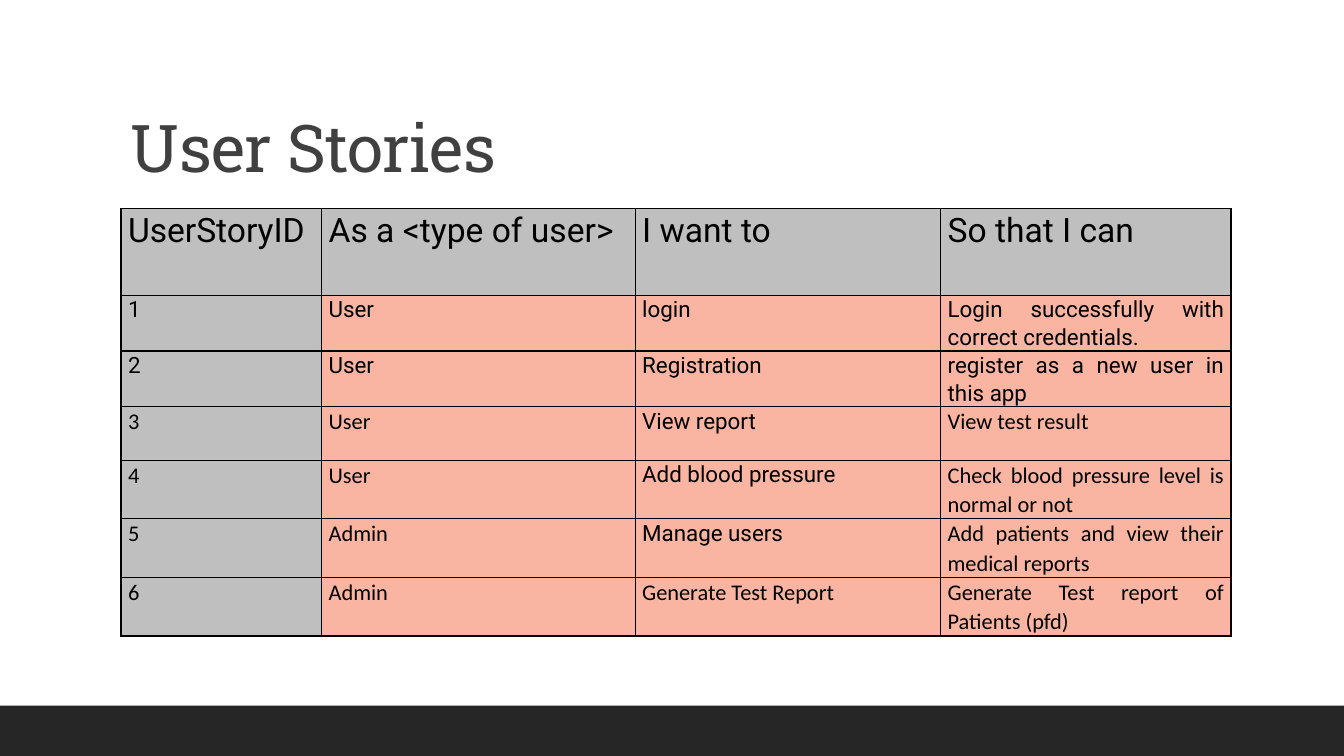
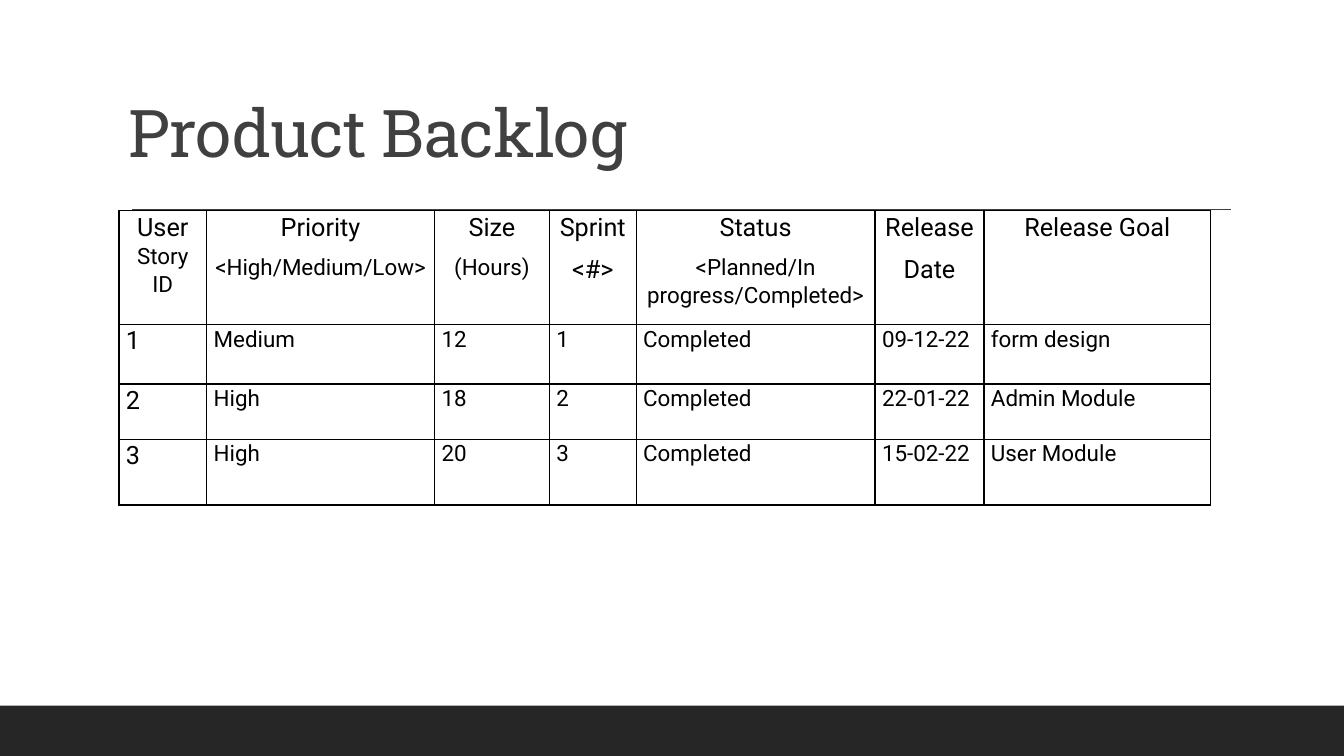
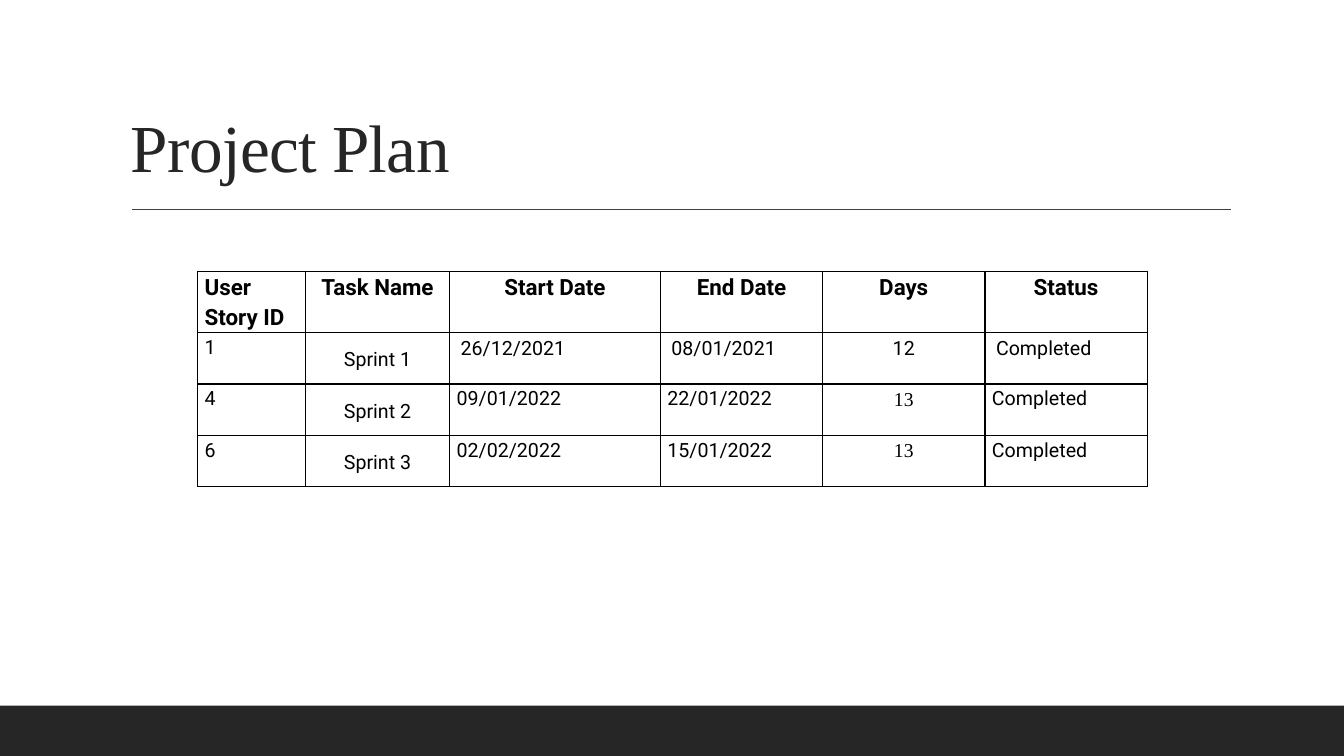
"""Build three project planning slides: user stories, product backlog and project plan."""
from dataclasses import dataclass

import lxml.etree
import pptx
import pptx.dml.color
import pptx.enum.shapes
import pptx.enum.text
import pptx.oxml.ns
import pptx.presentation
import pptx.slide
import pptx.table
import pptx.util

Inches = pptx.util.Inches
Pt = pptx.util.Pt
RGBColor = pptx.dml.color.RGBColor
Align = pptx.enum.text.PP_ALIGN
Anchor = pptx.enum.text.MSO_ANCHOR

BLACK = RGBColor(0x00, 0x00, 0x00)
CHARCOAL = RGBColor(0x26, 0x26, 0x26)
SLATE = RGBColor(0x40, 0x40, 0x40)
SILVER = RGBColor(0xBF, 0xBF, 0xBF)
SALMON = RGBColor(0xF9, 0xB5, 0xA2)

ROBOTO = "Roboto"
SLAB = "Roboto Slab"
CALIBRI = "Calibri"
TIMES = "Times New Roman"


@dataclass(frozen=True)
class Span:
    text: str
    size: float = 16
    font: str = ROBOTO
    bold: bool = False
    color: RGBColor = BLACK


@dataclass(frozen=True)
class Look:
    align: Align = Align.LEFT
    line_spacing: float = 1.07
    space_after: float = 8
    inset: tuple[float, float] = (0.07, 0)
    anchor: Anchor = Anchor.TOP


@dataclass(frozen=True)
class Cell:
    paragraphs: list[list[Span]]
    look: Look
    fill: RGBColor | None = None


@dataclass(frozen=True)
class Grid:
    left: float
    top: float
    columns: list[float]
    rows: list[float]
    cells: list[list[Cell]]


@dataclass(frozen=True)
class Title:
    span: Span
    left: float = 1.2
    top: float = 0.31


JUSTIFIED = Look(Align.JUSTIFY)
BACKLOG_HEAD = Look(Align.CENTER)
BACKLOG_BODY = Look()
PLAN_LEFT = Look(line_spacing=1.15, space_after=0)
PLAN_CENTER = Look(Align.CENTER, 1.15, 0)
PLAN_TASK = Look(Align.CENTER, 1.15, 0, anchor=Anchor.MIDDLE)
PLAN_FIRST = Look(line_spacing=1, space_after=0, inset=(0.11, 0.05))
PLAN_FIRST_DAYS = Look(Align.CENTER, 1, 0, (0.11, 0.05))
PLAN_DAYS = Look(Align.CENTER, 1, 0, (0.1, 0.05))

STORY_HEADINGS = ["UserStoryID", "As a <type of user>", "I want to", "So that I can"]
STORIES = [
    ("User", "login", "Login successfully with correct credentials."),
    ("User", "Registration", "register as a new user in this app"),
    ("User", "View report", "View test result"),
    ("User", "Add blood pressure", "Check blood pressure level is normal or not"),
    ("Admin", "Manage users", "Add patients and view their medical reports"),
    ("Admin", "Generate Test Report", "Generate Test report of Patients (pfd)"),
]
BACKLOG_HEADINGS = [
    [[Span("User ", 18), Span("Story ID")]],
    [[Span("Priority", 18)], [Span("<High/Medium/Low>")]],
    [[Span("Size", 18)], [Span("(Hours)")]],
    [[Span("Sprint", 18)], [Span("<#>", 18)]],
    [[Span("Status", 18)], [Span("<Planned/In progress/Completed>")]],
    [[Span("Release", 18)], [Span("Date", 18)]],
    [[Span("Release Goal", 18)]],
]
BACKLOG = [
    ("1", "Medium", "12", "1", "Completed", "09-12-22", "form design"),
    ("2", "High", "18", "2", "Completed", "22-01-22", "Admin Module"),
    ("3", "High", "20", "3", "Completed", "15-02-22", "User Module"),
]
PLAN_HEADINGS = ["User Story ID", "Task Name", "Start Date", "End Date", "Days", "Status"]
PLAN = [
    ("1", "Sprint 1", "26/12/2021", "08/01/2021", "12", "Completed"),
    ("4", "Sprint 2", "09/01/2022", "22/01/2022", "13", "Completed"),
    ("6", "Sprint 3", "02/02/2022", "15/01/2022", "13", "Completed"),
]


def story_font(number: int, column: int) -> str:
    """Return the font of a user story cell."""
    if number < 3 or (column == 2 and number < 6):
        return ROBOTO
    return CALIBRI


def story_cells() -> list[list[Cell]]:
    """Lay out the user story rows."""
    rows = [[Cell([[Span(text, 24)]], JUSTIFIED, SILVER) for text in STORY_HEADINGS]]
    for number, story in enumerate(STORIES, 1):
        rows.append([
            Cell([[Span(text, font=story_font(number, column))]], JUSTIFIED,
                 SALMON if column else SILVER)
            for column, text in enumerate((str(number), *story))
        ])
    return rows


def backlog_cells() -> list[list[Cell]]:
    """Lay out the product backlog rows."""
    rows = [[Cell(heading, BACKLOG_HEAD) for heading in BACKLOG_HEADINGS]]
    for item in BACKLOG:
        rows.append([
            Cell([[Span(text, 16 if column else 18)]], BACKLOG_BODY)
            for column, text in enumerate(item)
        ])
    return rows


def plan_cells() -> list[list[Cell]]:
    """Lay out the project plan rows."""
    rows = [[
        Cell([[Span(text, bold=True)]], PLAN_CENTER if column else PLAN_LEFT)
        for column, text in enumerate(PLAN_HEADINGS)
    ]]
    for index, sprint in enumerate(PLAN):
        dates = PLAN_LEFT if index else PLAN_FIRST
        days = PLAN_DAYS if index else PLAN_FIRST_DAYS
        looks = [PLAN_LEFT, PLAN_TASK, dates, dates, days, dates]
        rows.append([
            Cell([[Span(text, 14, TIMES if look is PLAN_DAYS else ROBOTO)]], look)
            for text, look in zip(sprint, looks)
        ])
    return rows


PAGES = [
    (Title(Span("User Stories", 47, SLAB, color=SLATE)),
     Grid(1.2, 2.07, [1.99, 3.11, 3.03, 2.88],
          [0.86, 0.54, 0.53, 0.53, 0.53, 0.53, 0.54], story_cells())),
    (Title(Span("Product Backlog", 47, SLAB, color=SLATE), 1.18, 0.16),
     Grid(1.18, 2.09, [0.87, 2.26, 1.14, 0.86, 2.37, 1.08, 2.25],
          [1.13, 0.59, 0.55, 0.65], backlog_cells())),
    (Title(Span("Project Plan", 48, TIMES, color=CHARCOAL)),
     Grid(1.96, 2.69, [1.07, 1.43, 2.09, 1.61, 1.61, 1.61],
          [0.61, 0.51, 0.51, 0.51], plan_cells())),
]


def apply(target: object, values: dict[str, object]) -> None:
    """Set each named attribute on the target."""
    for name, value in values.items():
        setattr(target, name, value)


def add_span(para: object, span: Span) -> object:
    """Append a formatted run to a paragraph."""
    run = para.add_run()
    run.text = span.text
    apply(run.font, {"size": Pt(span.size), "name": span.font, "bold": span.bold})
    run.font.color.rgb = span.color
    return run


def add_frame(page: pptx.slide.Slide) -> None:
    """Draw the bottom band and the title rule."""
    band = page.shapes.add_shape(
        pptx.enum.shapes.MSO_SHAPE.RECTANGLE, 0, Inches(7), Inches(13.33), Inches(0.5))
    band.shadow.inherit = False
    band.fill.solid()
    band.fill.fore_color.rgb = CHARCOAL
    band.line.fill.background()
    rule = page.shapes.add_connector(
        pptx.enum.shapes.MSO_CONNECTOR.STRAIGHT,
        Inches(1.31), Inches(2.08), Inches(12.21), Inches(2.08))
    rule.line.color.rgb = SLATE
    rule.line.width = Pt(1)
    lxml.etree.SubElement(rule._element.spPr, pptx.oxml.ns.qn("a:effectLst"))


def add_title(page: pptx.slide.Slide, title: Title) -> None:
    """Write the slide title."""
    box = page.shapes.add_textbox(
        Inches(title.left), Inches(title.top), Inches(11), Inches(1.59))
    apply(box.text_frame, {"word_wrap": True, "vertical_anchor": Anchor.BOTTOM})
    para = box.text_frame.paragraphs[0]
    para.line_spacing = 0.9
    run = add_span(para, title.span)
    run.font._element.set("spc", "-50")


def add_borders(cell: pptx.table._Cell) -> None:
    """Give a table cell thin black borders."""
    properties = cell._tc.get_or_add_tcPr()
    for side in ("lnL", "lnR", "lnT", "lnB"):
        line = lxml.etree.SubElement(
            properties, pptx.oxml.ns.qn(f"a:{side}"), w=str(Pt(1)))
        fill = lxml.etree.SubElement(line, pptx.oxml.ns.qn("a:solidFill"))
        lxml.etree.SubElement(fill, pptx.oxml.ns.qn("a:srgbClr"), val=str(BLACK))


def fill_cell(target: pptx.table._Cell, cell: Cell) -> None:
    """Write and format one table cell."""
    look = cell.look
    across, down = (Inches(length) for length in look.inset)
    apply(target, {
        "margin_left": across, "margin_right": across,
        "margin_top": down, "margin_bottom": down,
        "vertical_anchor": look.anchor,
    })
    add_borders(target)
    if cell.fill is None:
        target.fill.background()
    else:
        target.fill.solid()
        target.fill.fore_color.rgb = cell.fill
    frame = target.text_frame
    for index, spans in enumerate(cell.paragraphs):
        para = frame.add_paragraph() if index else frame.paragraphs[0]
        apply(para, {
            "alignment": look.align,
            "line_spacing": look.line_spacing,
            "space_after": Pt(look.space_after),
        })
        for span in spans:
            add_span(para, span)


def add_grid(page: pptx.slide.Slide, grid: Grid) -> None:
    """Draw a table."""
    table = page.shapes.add_table(
        len(grid.rows), len(grid.columns), Inches(grid.left), Inches(grid.top),
        Inches(sum(grid.columns)), Inches(sum(grid.rows))).table
    apply(table, {"first_row": False, "horz_banding": False})
    for column, width in zip(table.columns, grid.columns):
        column.width = Inches(width)
    for row, height, cells in zip(table.rows, grid.rows, grid.cells):
        row.height = Inches(height)
        for target, cell in zip(row.cells, cells):
            fill_cell(target, cell)


def main() -> None:
    """Build and save the deck."""
    deck = pptx.Presentation()
    apply(deck, {"slide_width": Inches(13.33), "slide_height": Inches(7.5)})
    for title, grid in PAGES:
        page = deck.slides.add_slide(deck.slide_layouts[6])
        add_frame(page)
        add_grid(page, grid)
        add_title(page, title)
    deck.save("out.pptx")


if __name__ == "__main__":
    main()
